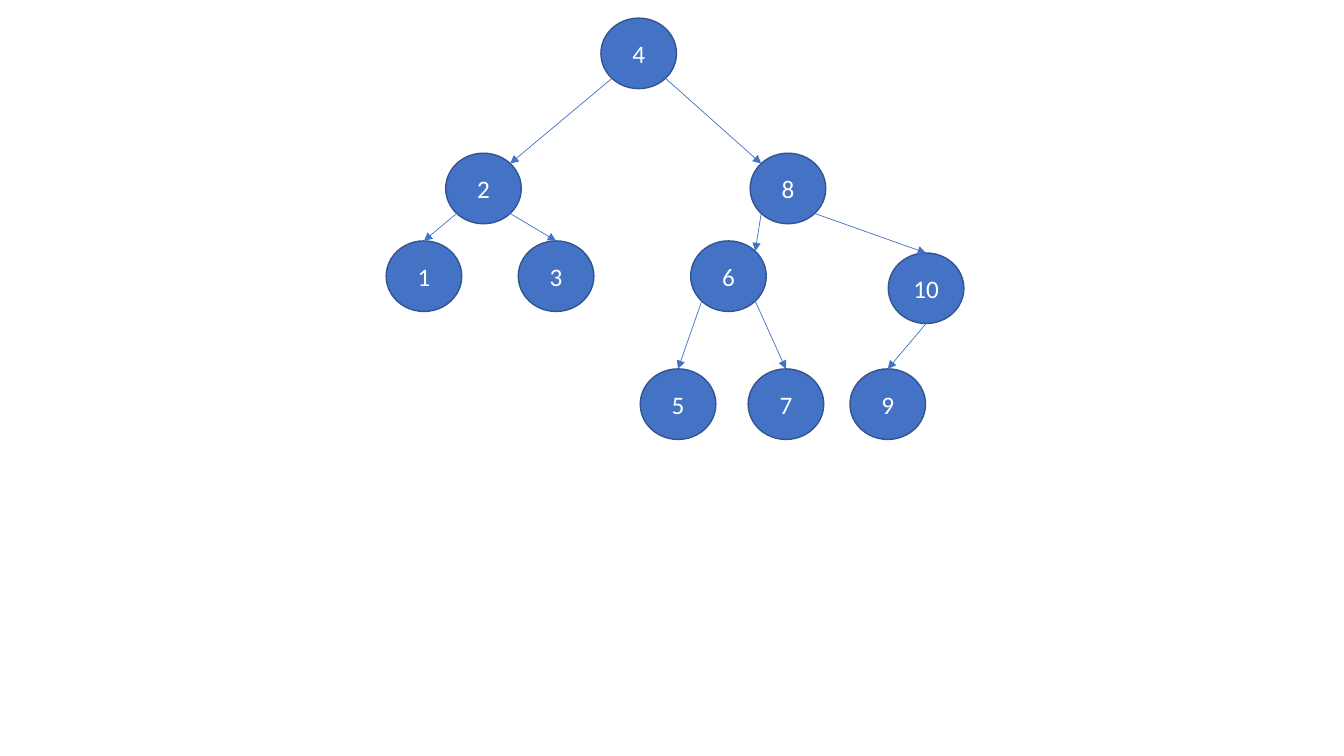
"""Build a slide with a binary search tree of nine nodes."""
from math import cos, pi, sin

from lxml import etree
from pptx import Presentation
from pptx.dml.color import RGBColor
from pptx.enum.shapes import MSO_CONNECTOR, MSO_SHAPE
from pptx.enum.text import MSO_ANCHOR, PP_ALIGN
from pptx.oxml.ns import qn
from pptx.util import Inches, Pt

OVAL = MSO_SHAPE.OVAL
STRAIGHT = MSO_CONNECTOR.STRAIGHT
CENTER = PP_ALIGN.CENTER
MIDDLE = MSO_ANCHOR.MIDDLE

BLUE = RGBColor(0x44, 0x72, 0xC4)
DARK_BLUE = RGBColor(0x32, 0x54, 0x91)
WHITE = RGBColor(0xFF, 0xFF, 0xFF)

NODE_W, NODE_H = 0.75, 0.7
TOP, LOWER_LEFT, BOTTOM, LOWER_RIGHT, UPPER_RIGHT, UPPER_LEFT = 0, 3, 4, 5, 7, 1

NODES = {
    4: (5.96, 0.18),
    2: (4.42, 1.52),
    8: (7.44, 1.52),
    1: (3.83, 2.39),
    3: (5.14, 2.39),
    6: (6.85, 2.39),
    10: (8.81, 2.51),
    5: (6.35, 3.66),
    7: (7.42, 3.66),
    9: (8.43, 3.66),
}
EDGES = [
    (4, LOWER_LEFT, 2, UPPER_RIGHT),
    (4, LOWER_RIGHT, 8, UPPER_LEFT),
    (2, LOWER_LEFT, 1, TOP),
    (2, LOWER_RIGHT, 3, TOP),
    (8, LOWER_LEFT, 6, UPPER_RIGHT),
    (8, LOWER_RIGHT, 10, TOP),
    (6, LOWER_LEFT, 5, TOP),
    (6, LOWER_RIGHT, 7, TOP),
    (10, BOTTOM, 9, TOP),
]


def add_node(s, key, left, top):
    """Add one tree node with its key and return it."""
    sp = s.shapes.add_shape(OVAL, Inches(left), Inches(top),
                            Inches(NODE_W), Inches(NODE_H))
    sp.name = f"Node {key}"
    sp.shadow.inherit = False
    sp.fill.solid()
    sp.fill.fore_color.rgb = BLUE
    sp.line.color.rgb = DARK_BLUE
    sp.line.width = Pt(1)
    tf = sp.text_frame
    tf.vertical_anchor = MIDDLE
    p = tf.paragraphs[0]
    p.alignment = CENTER
    r = p.add_run()
    r.text = str(key)
    r.font.name = "Calibri"
    r.font.size = Pt(18)
    r.font.color.rgb = WHITE
    return sp


def site_point(sp, site):
    """Return a connection site, counted counterclockwise from the top."""
    angle = site * pi / 4
    x = sp.left + sp.width / 2 * (1 - sin(angle))
    y = sp.top + sp.height / 2 * (1 - cos(angle))
    return round(x), round(y)


def add_edge(s, parent, start, child, end):
    """Add an arrow glued to the given sites of parent and child."""
    cxn = s.shapes.add_connector(STRAIGHT, *site_point(parent, start),
                                 *site_point(child, end))
    cxn.name = f"Edge {parent.text_frame.text} to {child.text_frame.text}"
    cxn.line.color.rgb = BLUE
    cxn.line.width = Pt(0.5)
    etree.SubElement(cxn.line._get_or_add_ln(), qn("a:tailEnd"), type="triangle")
    etree.SubElement(cxn._element.spPr, qn("a:effectLst"))
    glue = cxn._element.find(".//" + qn("p:cNvCxnSpPr"))
    for tag, sp, site in (("a:stCxn", parent, start), ("a:endCxn", child, end)):
        etree.SubElement(glue, qn(tag), id=str(sp.shape_id), idx=str(site))


def main():
    """Build the slide and save it."""
    prs = Presentation()
    prs.slide_width, prs.slide_height = Inches(13.33), Inches(7.5)
    s = prs.slides.add_slide(prs.slide_layouts[6])
    nodes = {key: add_node(s, key, *at) for key, at in NODES.items()}
    for parent, start, child, end in EDGES:
        add_edge(s, nodes[parent], start, nodes[child], end)
    prs.save("out.pptx")


main()
